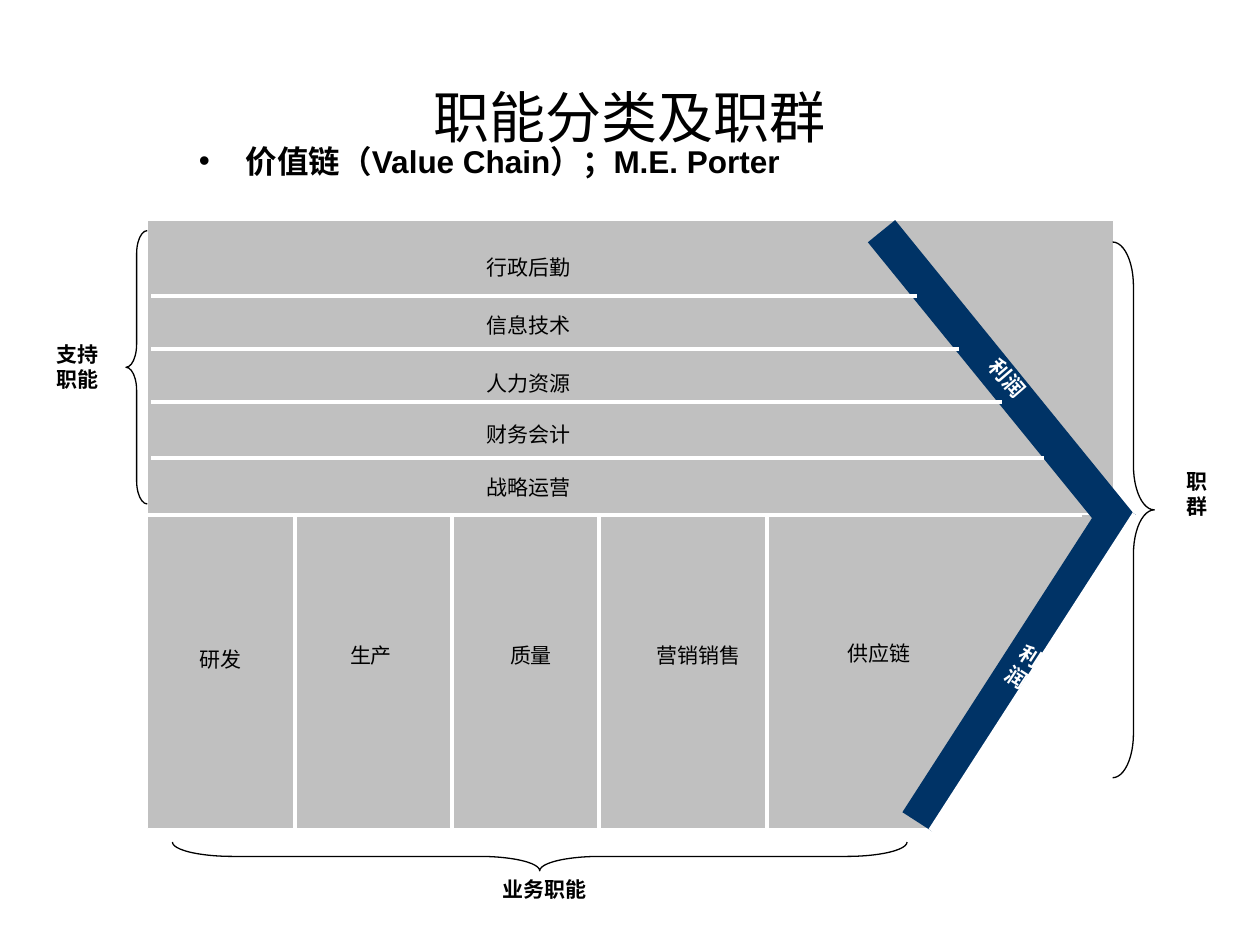
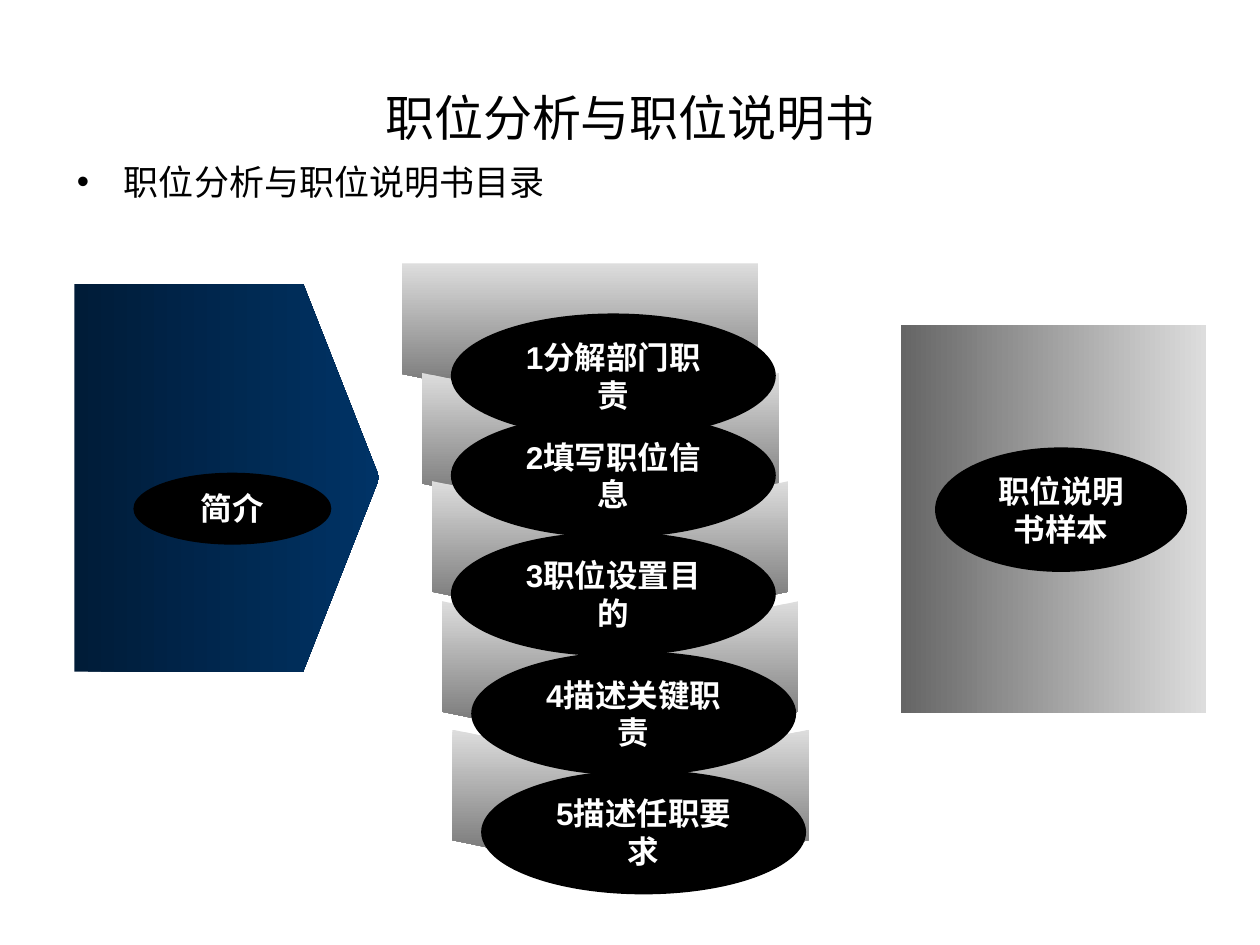
from lxml.etree import SubElement
from pptx import Presentation
from pptx.dml.color import RGBColor
from pptx.enum.shapes import MSO_CONNECTOR, MSO_SHAPE
from pptx.enum.text import MSO_ANCHOR, PP_ALIGN
from pptx.oxml.ns import qn
from pptx.util import Cm, Pt

FONT = "Arial"
BLACK = RGBColor(0x00, 0x00, 0x00)
WHITE = RGBColor(0xFF, 0xFF, 0xFF)
GREY = RGBColor(0xC0, 0xC0, 0xC0)
NAVY = RGBColor(0x00, 0x33, 0x66)
DARK = RGBColor(0x00, 0x1C, 0x38)
PALE = RGBColor(0xDD, 0xDD, 0xDD)
SMOKE = RGBColor(0x65, 0x65, 0x65)


def write(shape, text, size=12, color=BLACK, bold=False, align=PP_ALIGN.CENTER,
          anchor=MSO_ANCHOR.TOP, bullet=False, left=0.25):
    frame = shape.text_frame
    frame.word_wrap = True
    frame.vertical_anchor = anchor
    frame.margin_left = Cm(left)
    para = frame.paragraphs[0]
    para.alignment = align
    if bullet:
        props = para._p.get_or_add_pPr()
        props.set("marL", str(Cm(0.95)))
        props.set("indent", str(-Cm(0.95)))
        SubElement(props, qn("a:buFont"), typeface=FONT)
        SubElement(props, qn("a:buChar"), char="•")
    run = para.add_run()
    run.text = text
    font = run.font
    font.name, font.size, font.bold = FONT, Pt(size), bold
    font.color.rgb = color


def label(slide, text, x, y, w, h=0.76, turn=0, **style):
    box = slide.shapes.add_textbox(Cm(x), Cm(y), Cm(w), Cm(h))
    box.rotation = turn
    write(box, text, **style)


def title(slide, text, size):
    label(slide, text, 1.27, 0.76, 22.86, 3.18, size=size, anchor=MSO_ANCHOR.MIDDLE)


def bullet(slide, text, x, y, w, h, **style):
    label(slide, text, x, y, w, h, align=PP_ALIGN.LEFT, bullet=True, **style)


def block(slide, kind, x, y, w, h, fill=None, line=None, turn=0, adjust=None):
    """Add a preset shape; a pair of colours as fill makes a gradient."""
    shape = slide.shapes.add_shape(kind, Cm(x), Cm(y), Cm(w), Cm(h))
    shape.shadow.inherit = False
    shape.rotation = turn
    if adjust is not None:
        shape.adjustments[0] = adjust
    if fill is None:
        shape.fill.background()
    elif isinstance(fill, RGBColor):
        shape.fill.solid()
        shape.fill.fore_color.rgb = fill
    else:
        shape.fill.gradient()
        shape.fill.gradient_angle = 0
        for stop, color, place in zip(shape.fill.gradient_stops, fill, (0, 1)):
            stop.color.rgb = color
            stop.position = place
    if line is None:
        shape.line.fill.background()
    else:
        shape.line.color.rgb = line
        shape.line.width = Pt(0.75)
    return shape


def rule(slide, x1, y1, x2, y2):
    line = slide.shapes.add_connector(
        MSO_CONNECTOR.STRAIGHT, Cm(x1), Cm(y1), Cm(x2), Cm(y2))
    line.line.color.rgb = WHITE
    line.line.width = Pt(2.25)
    SubElement(line._element.spPr, qn("a:effectLst"))


def oval(slide, text, x, y, w=6.55, h=2.51):
    shape = block(slide, MSO_SHAPE.OVAL, x, y, w, h, BLACK)
    write(shape, text, size=18, color=WHITE, bold=True)


def fold(slide, kind, x, y):
    """Add a grey band that points down."""
    block(slide, kind, x, y, 2.97, 7.19, (PALE, SMOKE), turn=90, adjust=0.25)


def chain(slide):
    title(slide, "职能分类及职群", 32)
    rect = MSO_SHAPE.RECTANGLE
    block(slide, rect, 2.97, 4.45, 19.48, 5.92, GREY, WHITE)
    bullet(slide, "价值链（Value Chain）；M.E. Porter", 4.01, 2.74, 20.12, 1.7,
           size=18, bold=True, left=0)
    block(slide, rect, 2.97, 10.36, 19.48, 6.35, GREY, WHITE)

    block(slide, rect, 19.81, 3.81, 0.71, 7.59, NAVY, turn=320.9)
    bar = block(slide, rect, 20.19, 9.58, 0.71, 7.59, NAVY, turn=212.8)
    write(bar, "利润", color=WHITE, bold=True, anchor=MSO_ANCHOR.MIDDLE)
    bar.text_frame._txBody.bodyPr.set("rot", str(180 * 60000))
    block(slide, rect, 20.52, 10.59, 3.18, 7.59, WHITE, turn=212.8)

    for i, y in enumerate((5.97, 7.04, 8.1, 9.24)):
        rule(slide, 3.05, y, 18.49 + 0.85 * i, y)
    rule(slide, 2.97, 10.39, 21.82, 10.39)
    for x in (5.94, 9.12, 12.07, 15.47):
        rule(slide, x, 10.36, x, 16.75)

    support = (("行政后勤", 5.0), ("信息技术", 6.17), ("人力资源", 7.34),
               ("财务会计", 8.38), ("战略运营", 9.45))
    for text, y in support:
        label(slide, text, 5.79, y, 9.73)
    core = (("研发", 3.18, 12.9, 2.54), ("生产", 6.35, 12.83, 2.26),
            ("质量", 9.75, 12.83, 1.91), ("营销销售", 12.5, 12.83, 3.18),
            ("供应链", 16.1, 12.78, 3.25))
    for text, x, y, w in core:
        label(slide, text, x, y, w)

    braces = ((MSO_SHAPE.RIGHT_BRACE, 10.59, 9.86, 0.58, 14.81, 90, 2.1),
              (MSO_SHAPE.LEFT_BRACE, 2.54, 4.65, 0.43, 5.51, 0, 1.08),
              (MSO_SHAPE.RIGHT_BRACE, 22.43, 4.88, 0.84, 10.8, 0, 1.06))
    for kind, x, y, w, h, turn, curve in braces:
        block(slide, kind, x, y, w, h, line=BLACK, turn=turn, adjust=curve)
    label(slide, "业务职能", 7.26, 17.55, 7.42, bold=True)
    label(slide, "支持职能", 0.71, 6.76, 1.7, 1.27, bold=True)
    label(slide, "利润", 19.15, 7.24, 2.34, turn=49.2, color=WHITE, bold=True)
    label(slide, "职群", 23.5, 9.32, 1.27, 1.27, bold=True)


def outline(slide):
    title(slide, "职位分析与职位说明书", 28)
    bullet(slide, "职位分析与职位说明书目录", 1.3, 3.12, 22.86, 12.57, size=20)
    block(slide, MSO_SHAPE.PENTAGON, 1.5, 5.72, 6.15, 7.82, (DARK, NAVY), adjust=0.25)
    oval(slide, "简介", 2.69, 9.53, 3.99, 1.45)

    fold(slide, MSO_SHAPE.PENTAGON, 10.21, 3.2)
    for x, y in ((10.62, 5.41), (10.82, 7.59), (11.02, 10.01)):
        fold(slide, MSO_SHAPE.CHEVRON, x, y)
    steps = (("1分解部门职责", 9.09, 6.32), ("2填写职位信息", 9.09, 8.33),
             ("3职位设置目的", 9.09, 10.72), ("4描述关键职责", 9.5, 13.13),
             ("5描述任职要求", 9.7, 15.52))
    for step in steps[:3]:
        oval(slide, *step)
    fold(slide, MSO_SHAPE.CHEVRON, 11.23, 12.6)
    for step in steps[3:]:
        oval(slide, *step)

    block(slide, MSO_SHAPE.RECTANGLE, 18.16, 6.55, 6.15, 7.82, (SMOKE, PALE))
    oval(slide, "职位说明书样本", 18.85, 9.02, 5.08)


def main():
    deck = Presentation()
    deck.slide_width, deck.slide_height = Cm(25.4), Cm(19.05)
    for draw in (chain, outline):
        draw(deck.slides.add_slide(deck.slide_layouts[6]))
    deck.save("out.pptx")


if __name__ == "__main__":
    main()
